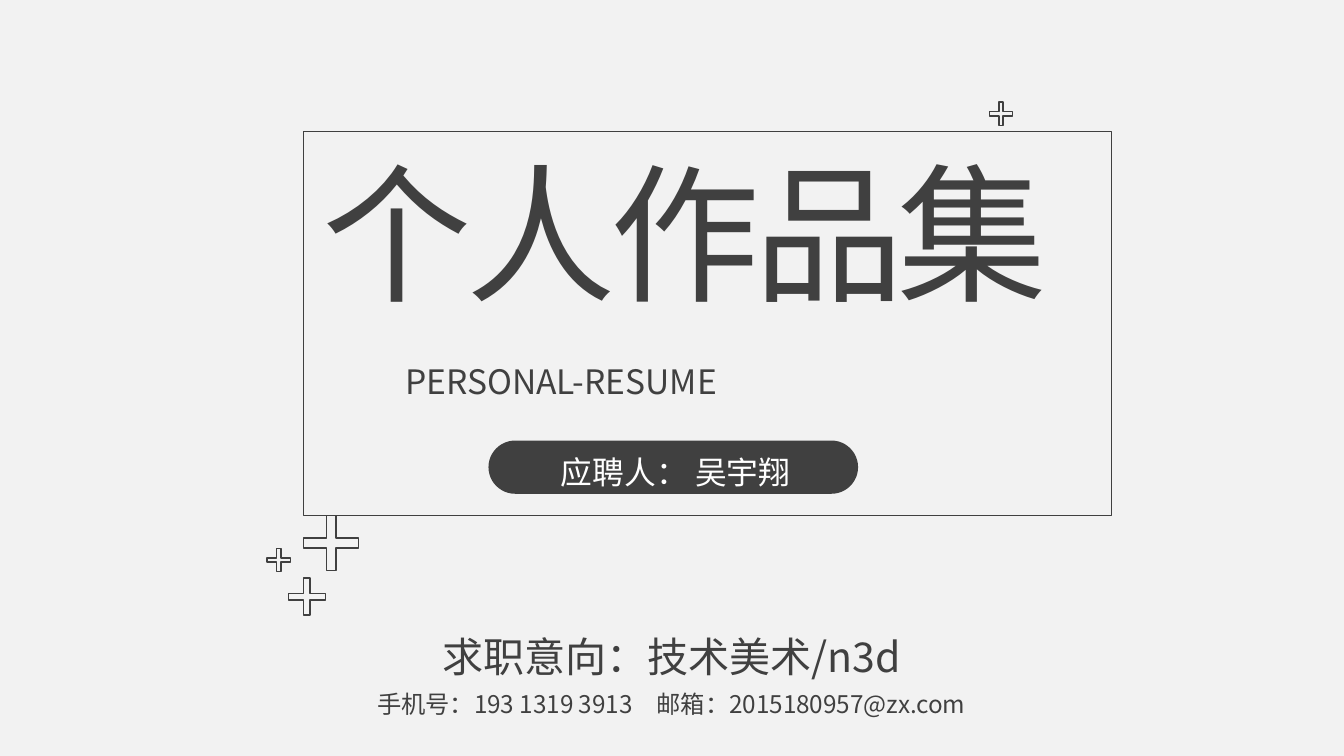
from dataclasses import dataclass

from lxml.etree import SubElement
from pptx import Presentation
from pptx.dml.color import RGBColor
from pptx.enum.shapes import MSO_SHAPE as Preset
from pptx.enum.text import MSO_AUTO_SIZE as AutoSize, PP_ALIGN as Align
from pptx.oxml.ns import qn
from pptx.util import Cm, Pt


@dataclass(frozen=True)
class Theme:
    font: str = "Noto Sans CJK SC"
    background: RGBColor = RGBColor(0xF2, 0xF2, 0xF2)
    dark: RGBColor = RGBColor(0x40, 0x40, 0x40)
    light: RGBColor = RGBColor(0xFF, 0xFF, 0xFF)
    title: int = 80
    intent: int = 22
    subtitle: int = 18
    applicant: int = 17
    contact: int = 13
    thin_line: float = 0.75
    pill_line: float = 1


THEME = Theme()
SLIDE_SIZE = (25.4, 14.28)

# Boxes are left, top, width, height in centimetres
FRAME = (5.74, 2.48, 15.27, 7.26)
PILL = (9.25, 8.34, 6.95, 0.97)

# Insets are horizontal, vertical in centimetres
TIGHT, SNUG, ROOMY = (0.1, 0.05), (0.19, 0.1), (0.25, 0.13)

TEXTS = [
    dict(text="个人作品集", box=(5.92, 2.62, 14.05, 3.53), size=THEME.title,
         inset=TIGHT, tracking=-3),
    dict(text="求职意向：技术美术/n3d", box=(7.09, 11.33, 11.2, 1.4),
         size=THEME.intent, inset=ROOMY, spacing=1.5, grow=False),
    dict(text="PERSONAL-RESUME", box=(7.47, 6.71, 10.46, 0.97),
         size=THEME.subtitle, align=Align.JUSTIFY),
    dict(text="手机号：193 1319 3913　邮箱：2015180957@zx.com",
         box=(6.32, 12.65, 12.73, 1.02), size=THEME.contact, spacing=1.5),
    dict(text="应聘人： 吴宇翔", box=(9.25, 8.1, 7.04, 1.27),
         size=THEME.applicant, color=THEME.light, spacing=1.5),
]

# Left, top, side in centimetres
CROSSES = [
    (5.74, 9.74, 1.04),
    (5.45, 10.92, 0.7),
    (5.05, 10.36, 0.44),
    (18.7, 1.93, 0.44),
]
CROSS_NOTCH = 0.41


def add_outline(slide, preset, box, adjustment=None, fill=None,
                line_width=THEME.thin_line):
    shape = slide.shapes.add_shape(preset, *map(Cm, box))
    shape.shadow.inherit = False
    if adjustment is not None:
        shape.adjustments[0] = adjustment
    if fill is None:
        shape.fill.background()
    else:
        shape.fill.solid()
        shape.fill.fore_color.rgb = fill
    shape.line.color.rgb = THEME.dark
    shape.line.width = Pt(line_width)


def add_text(slide, text, box, size, color=THEME.dark, inset=SNUG,
             align=Align.CENTER, spacing=1.0, tracking=0, grow=True):
    """Add one line of text; tracking is the extra letter gap in points."""
    frame = slide.shapes.add_textbox(*map(Cm, box)).text_frame
    frame.word_wrap = True
    frame.auto_size = AutoSize.SHAPE_TO_FIT_TEXT if grow else AutoSize.NONE
    frame.margin_left = frame.margin_right = Cm(inset[0])
    frame.margin_top = frame.margin_bottom = Cm(inset[1])
    frame.text = text
    paragraph = frame.paragraphs[0]
    paragraph.alignment = align
    paragraph.line_spacing = spacing
    run = paragraph.runs[0]
    run.font.size = Pt(size)
    run.font.name = THEME.font
    run.font.color.rgb = color
    properties = run._r.get_or_add_rPr()
    SubElement(properties, qn("a:ea")).set("typeface", THEME.font)
    if tracking:
        properties.set("spc", str(tracking * 100))


def main():
    presentation = Presentation()
    presentation.slide_width, presentation.slide_height = map(Cm, SLIDE_SIZE)
    slide = presentation.slides.add_slide(presentation.slide_layouts[6])
    slide.background.fill.solid()
    slide.background.fill.fore_color.rgb = THEME.background

    add_outline(slide, Preset.RECTANGLE, FRAME)
    add_outline(slide, Preset.ROUNDED_RECTANGLE, PILL, adjustment=0.5,
                fill=THEME.dark, line_width=THEME.pill_line)
    for left, top, side in CROSSES:
        add_outline(slide, Preset.CROSS, (left, top, side, side), CROSS_NOTCH)
    for text in TEXTS:
        add_text(slide, **text)

    presentation.save("out.pptx")


if __name__ == "__main__":
    main()
